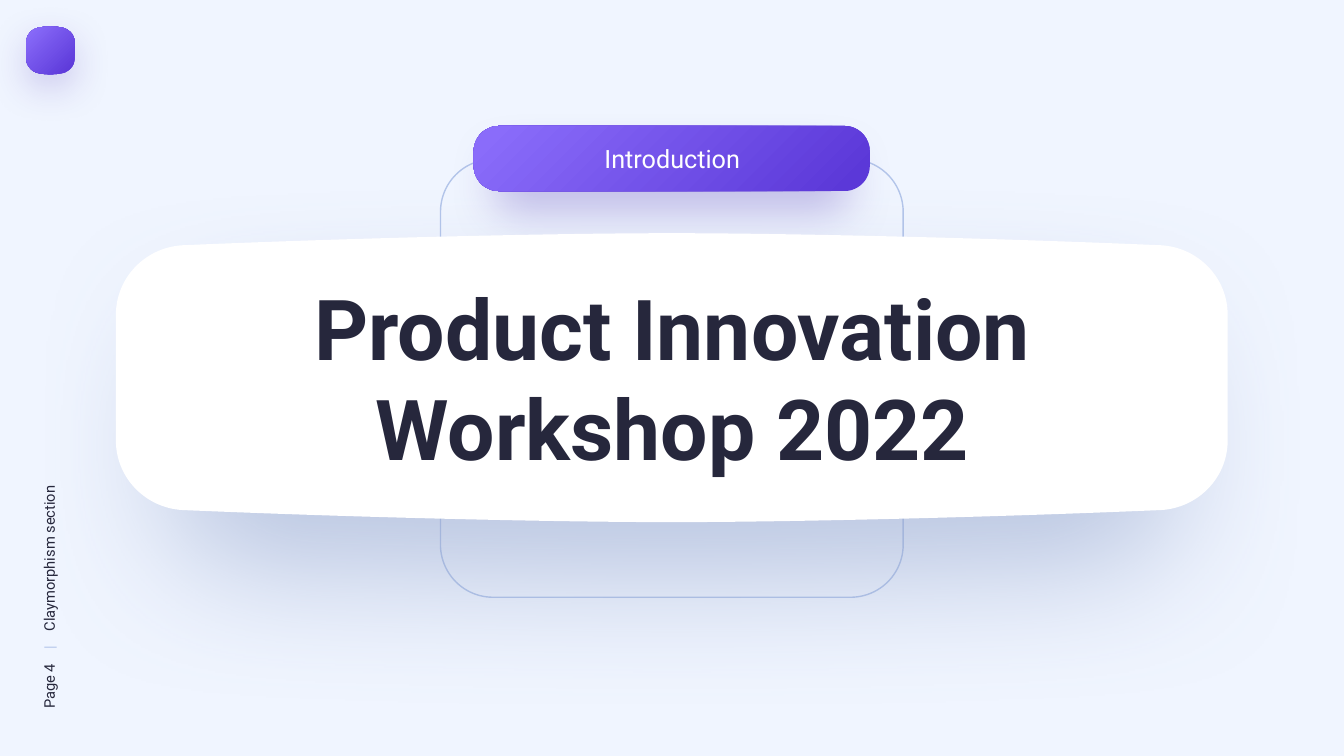
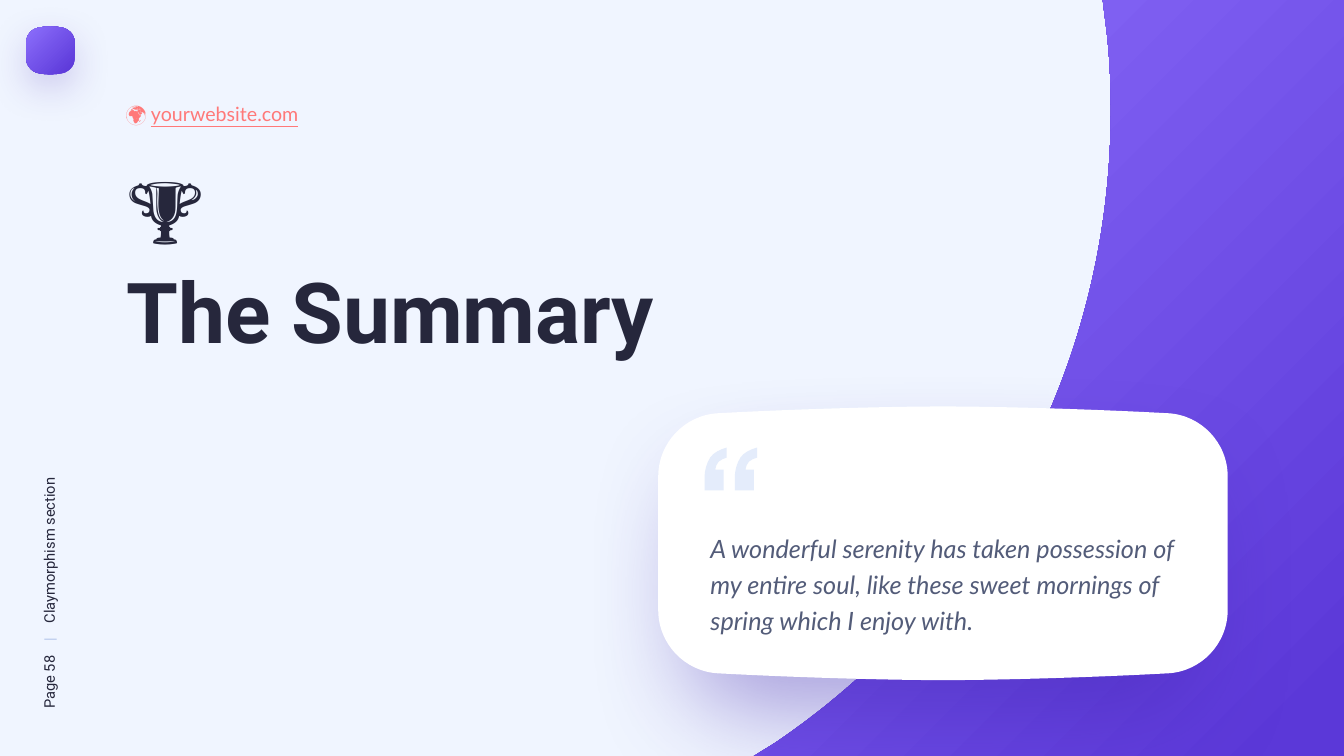
from dataclasses import dataclass
from typing import NamedTuple, Optional, Sequence

from lxml import etree
from pptx import Presentation
from pptx.dml.color import RGBColor
from pptx.enum.shapes import MSO_SHAPE
from pptx.enum.text import MSO_AUTO_SIZE, PP_ALIGN
from pptx.oxml.ns import qn
from pptx.util import Emu, Pt

ROUNDED = MSO_SHAPE.ROUNDED_RECTANGLE
GROW = MSO_AUTO_SIZE.SHAPE_TO_FIT_TEXT
LEFT, CENTER = PP_ALIGN.LEFT, PP_ALIGN.CENTER

# Grid: 160 columns by 90 rows of square cells
COLS, ROWS = 160, 90
CELL = 76200
BLANK = 6


@dataclass(frozen=True)
class Theme:
    paper: str = "F0F5FF"
    ink: str = "26273C"
    body: str = "535C79"
    rule: str = "B3C5EA"
    white: str = "FFFFFF"
    link: str = "FF7979"
    quote: str = "E4ECFB"
    violet_light: str = "8A6CFA"
    violet_dark: str = "5B38D8"
    violet_shadow: str = "3F21AB"
    blue_shadow: str = "93A4CB"
    heading_font: str = "Roboto"
    body_font: str = "Lato"
    title_size: float = 60
    text_size: float = 18
    link_size: float = 14
    footer_size: float = 10.5


THEME = Theme()


class Box(NamedTuple):
    left: float
    top: float
    width: float
    height: float


class Shadow(NamedTuple):
    color: str
    alpha: int
    blur: float
    distance: float


@dataclass(frozen=True)
class Span:
    text: str
    size: float
    color: str = THEME.ink
    font: str = THEME.heading_font
    bold: bool = False
    italic: bool = False
    underline: bool = False


@dataclass(frozen=True)
class Cushion:
    left: float
    top: float
    right: float
    bottom: float
    corner_w: float
    corner_h: float
    lift: float
    color: Optional[str]
    shadow: Shadow


FOOTER = Box(-13.32, 64.56, 38.52, 3.48)
LOGO = Cushion(3.12, 3.24, 8.9, 8.76, 1.8, 1.8, 0.12, None,
               Shadow(THEME.violet_shadow, 25, 30, 10))
TITLE_CARD = Cushion(13.8, 29.2, 146.16, 60.72, 7.92, 8.28, 1.92, THEME.white,
                     Shadow(THEME.blue_shadow, 60, 100, 49))
QUOTE_CARD = Cushion(78.36, 49.2, 146.16, 80.16, 7.08, 7.56, 1.08, THEME.white,
                     Shadow(THEME.violet_shadow, 40, 73, 35))

# Outlines: a pair is a straight step, six numbers are a Bezier curve
SWEEP = [(131.28, 0), (COLS, 0), (COLS, ROWS), (89.76, ROWS), (92.28, 88.44),
         (116.4, 72.12, 132.24, 44.52, 132.24, 13.2),
         (132.24, 9.96, 132.12, 6.96, 131.76, 3.84)]
QUOTE_MARK = [(2.64, 0), (2.64, 1.2),
              (2.28, 1.32, 1.92, 1.44, 1.68, 1.68),
              (1.44, 1.92, 1.32, 2.28, 1.26, 2.64),
              (2.28, 2.64), (2.28, 5.1), (0, 5.1), (0, 3.6),
              (0, 2.64, 0.24, 1.92, 0.66, 1.2),
              (1.08, 0.6, 1.8, 0.24, 2.64, 0)]


def cells(n: float) -> Emu:
    return Emu(round(n * CELL))


# Fills and shadows
def paint(sp, color: Optional[str], shadow: Optional[Shadow] = None) -> None:
    """Fill with a colour, or with the violet gradient when there is none."""
    sp.line.fill.background()
    if color:
        sp.fill.solid()
        sp.fill.fore_color.rgb = RGBColor.from_string(color)
    else:
        sp.fill.gradient()
        stops = ((0.05, THEME.violet_light), (0.95, THEME.violet_dark))
        for stop, (position, rgb) in zip(sp.fill.gradient_stops, stops):
            stop.position = position
            stop.color.rgb = RGBColor.from_string(rgb)
        grad = sp._element.spPr.find(qn("a:gradFill"))
        grad.remove(grad.find(qn("a:lin")))
        radial = etree.SubElement(grad, qn("a:path"), {"path": "circle"})
        etree.SubElement(radial, qn("a:fillToRect"), r="100000", b="100000")
    sp.shadow.inherit = False
    if shadow:
        effects = sp._element.spPr.find(qn("a:effectLst"))
        outer = etree.SubElement(
            effects, qn("a:outerShdw"), blurRad=str(Pt(shadow.blur)),
            dist=str(Pt(shadow.distance)), dir="5400000",
            sx="90000", sy="90000", algn="ctr", rotWithShape="0")
        rgb = etree.SubElement(outer, qn("a:srgbClr"), val=shadow.color)
        etree.SubElement(rgb, qn("a:alpha"), val=str(shadow.alpha * 1000))


# Shapes
def rounded(slide, box: Box, radius: float):
    sp = slide.shapes.add_shape(ROUNDED, *map(cells, box))
    sp.adjustments[0] = radius
    return sp


def shifted(outline: Sequence[tuple], dx: float, dy: float) -> list:
    return [tuple(n + (dy if i % 2 else dx) for i, n in enumerate(step))
            for step in outline]


def freeform(slide, outlines: Sequence[Sequence[tuple]]):
    """Build on the end points, then bend the steps that are curves."""
    ends = [[tuple(map(cells, step[-2:])) for step in outline] for outline in outlines]
    builder = slide.shapes.build_freeform(*ends[0][0])
    for i, points in enumerate(ends):
        if i:
            builder.move_to(*points[0])
        builder.add_line_segments(points[1:], close=True)
    sp = builder.convert_to_shape()
    steps = [step for outline in outlines for step in outline[1:]]
    lines = list(sp._element.spPr.iter(qn("a:lnTo")))
    for line, step in zip(lines, steps):
        if len(step) == 6:
            curve = etree.Element(qn("a:cubicBezTo"))
            for x, y in zip(step[::2], step[1::2]):
                etree.SubElement(curve, qn("a:pt"), x=str(cells(x) - sp.left),
                                 y=str(cells(y) - sp.top))
            line.getparent().replace(line, curve)
    return sp


def add_cushion(slide, c: Cushion) -> None:
    """Draw round corners with a bulging top and bottom."""
    l, t, r, b = c.left, c.top, c.right, c.bottom
    cw, ch, mid = c.corner_w, c.corner_h, (c.left + c.right) / 2
    ease_x, ease_y, tilt = 0.45 * cw, 0.46 * ch, 0.03 * ch
    # Controls of each half of the bulge, measured from the middle
    outer = (r - l) * 0.3 - cw / 2
    inner = outer / 2
    half, peak = c.lift / 2, 0.75 * c.lift
    outer, inner = (mid - l - cw + 0.1 * (r - l)) / 2, (mid - l - cw + 0.3 * (r - l)) / 4 / 2
    outline = [
        (l, t + ch),
        (l, t + ease_y, l + ease_x, t + tilt, l + cw, t),
        (mid - outer, t - half, mid - inner, t - peak, mid, t - peak),
        (mid + inner, t - peak, mid + outer, t - half, r - cw, t),
        (r - ease_x, t + tilt, r, t + ease_y, r, t + ch),
        (r, b - ch),
        (r, b - ease_y, r - ease_x, b - tilt, r - cw, b),
        (mid + outer, b + half, mid + inner, b + peak, mid, b + peak),
        (mid - inner, b + peak, mid - outer, b + half, l + cw, b),
        (l + ease_x, b - tilt, l, b - ease_y, l, b - ch),
    ]
    paint(freeform(slide, [outline]), c.color, c.shadow)


# Text
def add_text(slide, box: Box, paragraphs: Sequence[Sequence[Span]],
             align=LEFT, spacing: Optional[float] = None):
    sp = slide.shapes.add_textbox(*map(cells, box))
    tf = sp.text_frame
    tf.word_wrap = True
    tf.auto_size = GROW
    for i, spans in enumerate(paragraphs):
        p = tf.add_paragraph() if i else tf.paragraphs[0]
        p.alignment = align
        if spacing:
            p.line_spacing = spacing
        for span in spans:
            r = p.add_run()
            r.text = span.text
            r.font.size = Pt(span.size)
            r.font.name = span.font
            r.font.bold = span.bold
            r.font.italic = span.italic
            r.font.color.rgb = RGBColor.from_string(span.color)
            if span.underline:
                r.font.underline = True
                latin = r._r.rPr.find(qn("a:latin"))
                latin.addprevious(etree.Element(qn("a:uFillTx")))
    return sp


def title_span(text: str) -> Span:
    return Span(text, THEME.title_size, bold=True)


# Shared parts: vertical footer and logo tile
def new_slide(prs, page: int):
    slide = prs.slides.add_slide(prs.slide_layouts[BLANK])
    size = THEME.footer_size
    footer = add_text(slide, FOOTER, [[
        Span(f"Page {page}\t", size),
        Span("|\t", size, THEME.rule),
        Span("Claymorphism section", size)]])
    footer.rotation = -90
    bar = 6.12 + 0.96 * len(str(page))
    p_pr = footer.text_frame.paragraphs[0]._p.get_or_add_pPr()
    tabs = etree.SubElement(p_pr, qn("a:tabLst"))
    for stop in (bar, bar + 2.15):
        etree.SubElement(tabs, qn("a:tab"), pos=str(cells(stop)), algn="l")
    add_cushion(slide, LOGO)
    return slide


# Slide: introduction
def intro_slide(prs) -> None:
    slide = new_slide(prs, 4)
    frame = rounded(slide, Box(52.44, 18.96, 55.08, 52.15), 0.12)
    frame.fill.background()
    frame.line.color.rgb = RGBColor.from_string(THEME.rule)
    frame.line.width = Pt(1)
    frame.shadow.inherit = False
    pill = rounded(slide, Box(56.4, 15, 47.16, 7.75), 0.39)
    paint(pill, None, Shadow(THEME.violet_shadow, 25, 32, 18))
    add_text(slide, Box(61.08, 16.44, 37.92, 4.8),
             [[Span("Introduction", THEME.text_size, THEME.white)]], CENTER)
    add_cushion(slide, TITLE_CARD)
    add_text(slide, Box(16.8, 32.28, 126.48, 25.44),
             [[title_span("Product Innovation Workshop 2022")]], CENTER)


# Slide: summary with quote
def summary_slide(prs) -> None:
    slide = new_slide(prs, 58)
    paint(freeform(slide, [SWEEP]), None)
    add_text(slide, Box(13.85, 18.3, 77.88, 25.44),
             [[title_span("🏆")], [title_span("The Summary")]])
    size, color, font = THEME.link_size, THEME.link, THEME.body_font
    add_text(slide, Box(13.85, 11, 44.16, 4.2),
             [[Span("🌍 ", size, color, font),
               Span("yourwebsite.com", size, color, font, underline=True)]], spacing=1.2)
    add_cushion(slide, QUOTE_CARD)
    quote = ("A wonderful serenity has taken possession of my entire soul, "
             "like these sweet mornings of spring which I enjoy with.")
    add_text(slide, Box(83.4, 62.16, 57.84, 13.8),
             [[Span(quote, THEME.text_size, THEME.body, font, italic=True)]], spacing=1.2)
    marks = [shifted(QUOTE_MARK, 83.88 + 3.6 * i, 53.28) for i in range(2)]
    paint(freeform(slide, marks), THEME.quote)


def main() -> None:
    prs = Presentation()
    prs.slide_width, prs.slide_height = cells(COLS), cells(ROWS)
    backdrop = prs.slide_master.background.fill
    backdrop.solid()
    backdrop.fore_color.rgb = RGBColor.from_string(THEME.paper)
    intro_slide(prs)
    summary_slide(prs)
    prs.save("out.pptx")


if __name__ == "__main__":
    main()
